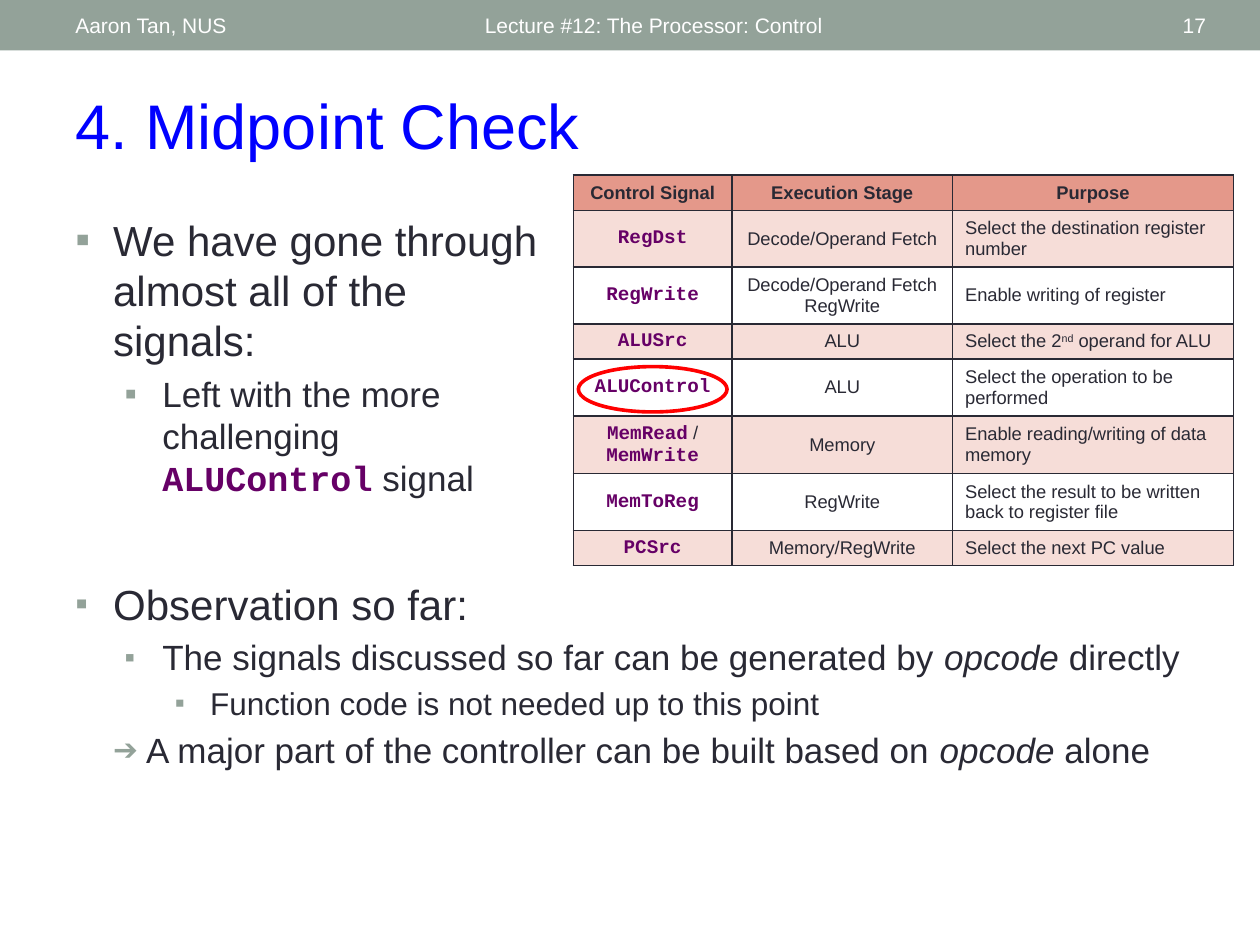
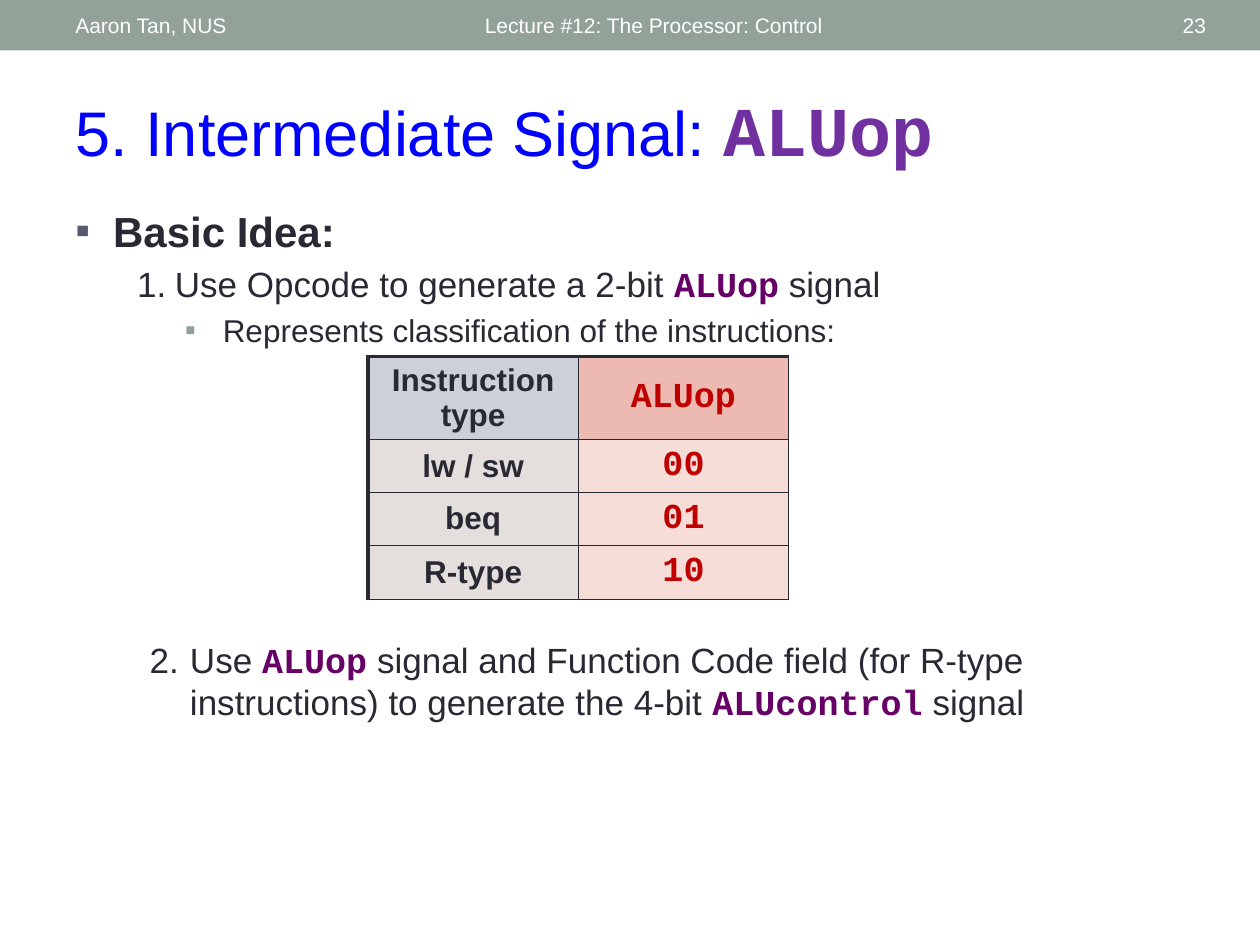
from lxml import etree
from pptx import Presentation
from pptx.dml.color import RGBColor
from pptx.enum.shapes import MSO_SHAPE
from pptx.enum.text import MSO_ANCHOR, MSO_AUTO_SIZE, PP_ALIGN
from pptx.oxml.ns import qn
from pptx.util import Inches, Pt

LEFT, CENTER, RIGHT = PP_ALIGN.LEFT, PP_ALIGN.CENTER, PP_ALIGN.RIGHT
TOP, MIDDLE = MSO_ANCHOR.TOP, MSO_ANCHOR.MIDDLE
NO_AUTOFIT = MSO_AUTO_SIZE.NONE
RECTANGLE, OVAL = MSO_SHAPE.RECTANGLE, MSO_SHAPE.OVAL

# Shared palette and fonts
INK, BAND, WHITE = "292934", "93A299", "FFFFFF"
TITLE_BLUE, SIGNAL, RED = "0000FF", "660066", "FF0000"
SLATE, TITLE_PURPLE, CODE_RED = "57576E", "7030A0", "C00000"
ROSE_DARK, ROSE, ROSE_LIGHT = "E4988A", "EDBAB1", "F6DDD8"
BLUE_GREY, WARM_GREY = "CCD1D9", "E4DFDC"
BODY_FONT, CODE_FONT = "Arial", "Courier New"


def rgb(value):
    return RGBColor.from_string(value)


def styled(text, **style):
    return text, style


def code(text, color=SIGNAL, **style):
    return styled(text, font=CODE_FONT, color=color, bold=True, **style)


def bullet(runs, size, level, indent, hanging, **mark):
    """Describe one list paragraph; indents are in inches."""
    return {"runs": runs, "size": size, "level": level,
            "indent": indent, "hanging": hanging, "mark": mark}


class Deck:
    def __init__(self):
        self.presentation = Presentation()
        self.presentation.slide_width = Inches(10)
        self.presentation.slide_height = Inches(7.5)
        self.slide = None

    def add_slide(self, title_runs, number):
        layout = self.presentation.slide_layouts[5]
        self.slide = self.presentation.slides.add_slide(layout)
        # Header band with its three labels
        band = self.shape(RECTANGLE, 0, 0, 10, 0.4)
        band.fill.solid()
        band.fill.fore_color.rgb = rgb(BAND)
        band.line.fill.background()
        labels = [("Aaron Tan, NUS", 0.5, 3.17, LEFT),
                  ("Lecture #12: The Processor: Control", 3.75, 4.5, LEFT),
                  (str(number), 8.72, 0.95, RIGHT)]
        for text, left, width, alignment in labels:
            frame = self.text_box(left, 0.02, width, 0.36, MIDDLE)
            self.add_runs(frame.paragraphs[0], [text], 12, WHITE, alignment)
        # Title placeholder
        title = self.slide.shapes.title
        self.place(title, 0.5, 0.64, 9.17, 0.77)
        self.prepare(title.text_frame, TOP)
        self.add_runs(title.text_frame.paragraphs[0], title_runs, 36, TITLE_BLUE)

    def place(self, shape, left, top, width, height):
        shape.left, shape.top = Inches(left), Inches(top)
        shape.width, shape.height = Inches(width), Inches(height)

    def prepare(self, frame, anchor):
        frame.word_wrap = True
        frame.auto_size = NO_AUTOFIT
        frame.vertical_anchor = anchor

    def shape(self, kind, *box):
        shape = self.slide.shapes.add_shape(kind, *map(Inches, box))
        shape.shadow.inherit = False
        return shape

    def text_box(self, left, top, width, height, anchor=TOP):
        box = self.slide.shapes.add_textbox(
            Inches(left), Inches(top), Inches(width), Inches(height))
        self.prepare(box.text_frame, anchor)
        return box.text_frame

    def add_runs(self, paragraph, runs, size, color=INK, alignment=LEFT, bold=False):
        paragraph.alignment = alignment
        for item in runs:
            text, style = styled(item) if isinstance(item, str) else item
            run = paragraph.add_run()
            run.text = text
            run.font.name = style.get("font", BODY_FONT)
            run.font.size = Pt(style.get("size", size))
            run.font.color.rgb = rgb(style.get("color", color))
            run.font.bold = style.get("bold", bold)
            run.font.italic = style.get("italic", False)
            if "baseline" in style:
                properties = run._r.get_or_add_rPr()
                properties.set("baseline", str(style["baseline"] * 1000))

    def mark(self, paragraph, item, character="▪", color=BAND, percent=100, start=None):
        properties = paragraph._p.get_or_add_pPr()
        properties.set("marL", str(Inches(item["indent"])))
        properties.set("indent", str(-Inches(item["hanging"])))
        color_element = etree.SubElement(properties, qn("a:buClr"))
        etree.SubElement(color_element, qn("a:srgbClr"), val=color)
        etree.SubElement(properties, qn("a:buSzPct"), val=str(percent * 1000))
        etree.SubElement(properties, qn("a:buFont"), typeface=BODY_FONT)
        if start:
            etree.SubElement(properties, qn("a:buAutoNum"),
                             type="arabicPeriod", startAt=str(start))
        else:
            etree.SubElement(properties, qn("a:buChar"), char=character)

    def bullets(self, items, *box):
        frame = self.text_box(*box)
        for index, item in enumerate(items):
            paragraph = frame.add_paragraph() if index else frame.paragraphs[0]
            paragraph.level = item["level"]
            self.mark(paragraph, item, **item["mark"])
            if index:
                paragraph.space_before = Pt(item["size"] * 0.2)
            self.add_runs(paragraph, item["runs"], item["size"])

    def table(self, left, top, widths, heights):
        frame = self.slide.shapes.add_table(
            len(heights), len(widths), Inches(left), Inches(top),
            Inches(sum(widths)), Inches(sum(heights)))
        table = frame.table
        table.first_row = table.horz_banding = False
        for column, width in zip(table.columns, widths):
            column.width = Inches(width)
        for row, height in zip(table.rows, heights):
            row.height = Inches(height)
        return table

    def cell(self, cell, lines, size, fill=None, alignment=CENTER, bold=False, thick=""):
        cell.vertical_anchor = MIDDLE
        cell.margin_top = cell.margin_bottom = Inches(0.04)
        frame = cell.text_frame
        for index, runs in enumerate(lines):
            paragraph = frame.add_paragraph() if index else frame.paragraphs[0]
            self.add_runs(paragraph, runs, size, alignment=alignment, bold=bold)
        # Borders come before the fill in the cell properties
        properties = cell._tc.get_or_add_tcPr()
        for side in "LRTB":
            width = Pt(2.25 if side in thick else 1)
            line = etree.SubElement(properties, qn(f"a:ln{side}"), w=str(width))
            solid = etree.SubElement(line, qn("a:solidFill"))
            etree.SubElement(solid, qn("a:srgbClr"), val=INK)
        if fill:
            cell.fill.solid()
            cell.fill.fore_color.rgb = rgb(fill)
        else:
            cell.fill.background()


def midpoint_slide(deck):
    deck.add_slide(["4. Midpoint Check"], 17)

    # Control signal table
    def signal(name):
        return code(name, size=11)

    fetch = "Decode/Operand Fetch"
    signals = [
        ([signal("RegDst")], [[fetch]], ["Select the destination register number"]),
        ([signal("RegWrite")], [[fetch], ["RegWrite"]], ["Enable writing of register"]),
        ([signal("ALUSrc")], [["ALU"]],
         ["Select the 2", styled("nd", baseline=30), " operand for ALU"]),
        ([signal("ALUControl")], [["ALU"]], ["Select the operation to be performed"]),
        ([signal("MemRead"), " / ", signal("MemWrite")], [["Memory"]],
         ["Enable reading/writing of data memory"]),
        ([signal("MemToReg")], [["RegWrite"]],
         ["Select the result to be written back to register file"]),
        ([signal("PCSrc")], [["Memory/RegWrite"]], ["Select the next PC value"]),
    ]
    short, tall = 0.28, 0.45
    heights = [short, tall, tall, short, tall, 0.46, tall, short]
    table = deck.table(4.55, 1.39, [1.26, 1.75, 2.23], heights)
    for column, heading in enumerate(["Control Signal", "Execution Stage", "Purpose"]):
        deck.cell(table.cell(0, column), [[heading]], 10.5, ROSE_DARK, bold=True)
    for row, (names, stages, purpose) in enumerate(signals, 1):
        fill = ROSE_LIGHT if row % 2 else None
        deck.cell(table.cell(row, 0), [names], 10.5, fill)
        deck.cell(table.cell(row, 1), stages, 10.5, fill)
        deck.cell(table.cell(row, 2), [purpose], 10.5, fill, LEFT)

    # Ring around ALUControl
    ring = deck.shape(OVAL, 4.59, 2.91, 1.18, 0.36)
    ring.fill.background()
    ring.line.color.rgb = rgb(RED)
    ring.line.width = Pt(2.08)

    # Bullet lists
    deck.bullets([
        bullet(["We have gone through almost all of the signals:"], 24, 0, 0.3, 0.3),
        bullet(["Left with the more challenging ", code("ALUControl"), " signal"],
               20, 1, 0.69, 0.3),
    ], 0.5, 1.65, 3.93, 2.48)
    opcode = styled("opcode", italic=True)
    deck.bullets([
        bullet(["Observation so far:"], 24, 0, 0.3, 0.3, percent=85),
        bullet(["The signals discussed so far can be generated by ", opcode, " directly"],
               20, 1, 0.69, 0.3, percent=85),
        bullet(["Function code is not needed up to this point"],
               18, 2, 1.07, 0.28, percent=90),
        bullet([" A major part of the controller can be built based on ", opcode, " alone"],
               20, 1, 0.5, 0.2, character="➔", percent=85),
    ], 0.5, 4.54, 9, 1.81)


def aluop_slide(deck):
    deck.add_slide(["5. Intermediate Signal: ", code("ALUop", TITLE_PURPLE, size=40)], 23)

    # Numbered steps above and below the table
    deck.bullets([
        bullet([styled("Basic Idea:", bold=True)], 24, 0, 0.3, 0.3, color=SLATE),
        bullet(["Use Opcode to generate a 2-bit ", code("ALUop"), " signal"],
               20, 1, 0.79, 0.3, color=INK, start=1),
        bullet(["Represents classification of the instructions:"], 18, 2, 1.17, 0.3),
    ], 0.5, 1.58, 9, 1.25)
    deck.bullets([
        bullet(["Use ", code("ALUop"),
                " signal and Function Code field (for R-type instructions)"
                " to generate the 4-bit ", code("ALUcontrol"), " signal"],
               20, 1, 0.91, 0.32, color=INK, start=2),
    ], 0.5, 5.02, 9, 0.8)

    # Instruction type table
    rows = [("Instruction type", "ALUop"), ("lw / sw", "00"), ("beq", "01"), ("R-type", "10")]
    table = deck.table(2.92, 2.83, [1.67, 1.67], [0.66, 0.42, 0.42, 0.43])
    for row, (kind, value) in enumerate(rows):
        kind_fill, value_fill = (WARM_GREY, ROSE_LIGHT) if row else (BLUE_GREY, ROSE)
        top = "" if row else "T"
        deck.cell(table.cell(row, 0), [[kind]], 18, kind_fill, bold=True, thick="L" + top)
        deck.cell(table.cell(row, 1), [[code(value, CODE_RED)]], 20, value_fill, thick=top)


def main():
    deck = Deck()
    midpoint_slide(deck)
    aluop_slide(deck)
    deck.presentation.save("out.pptx")


if __name__ == "__main__":
    main()
